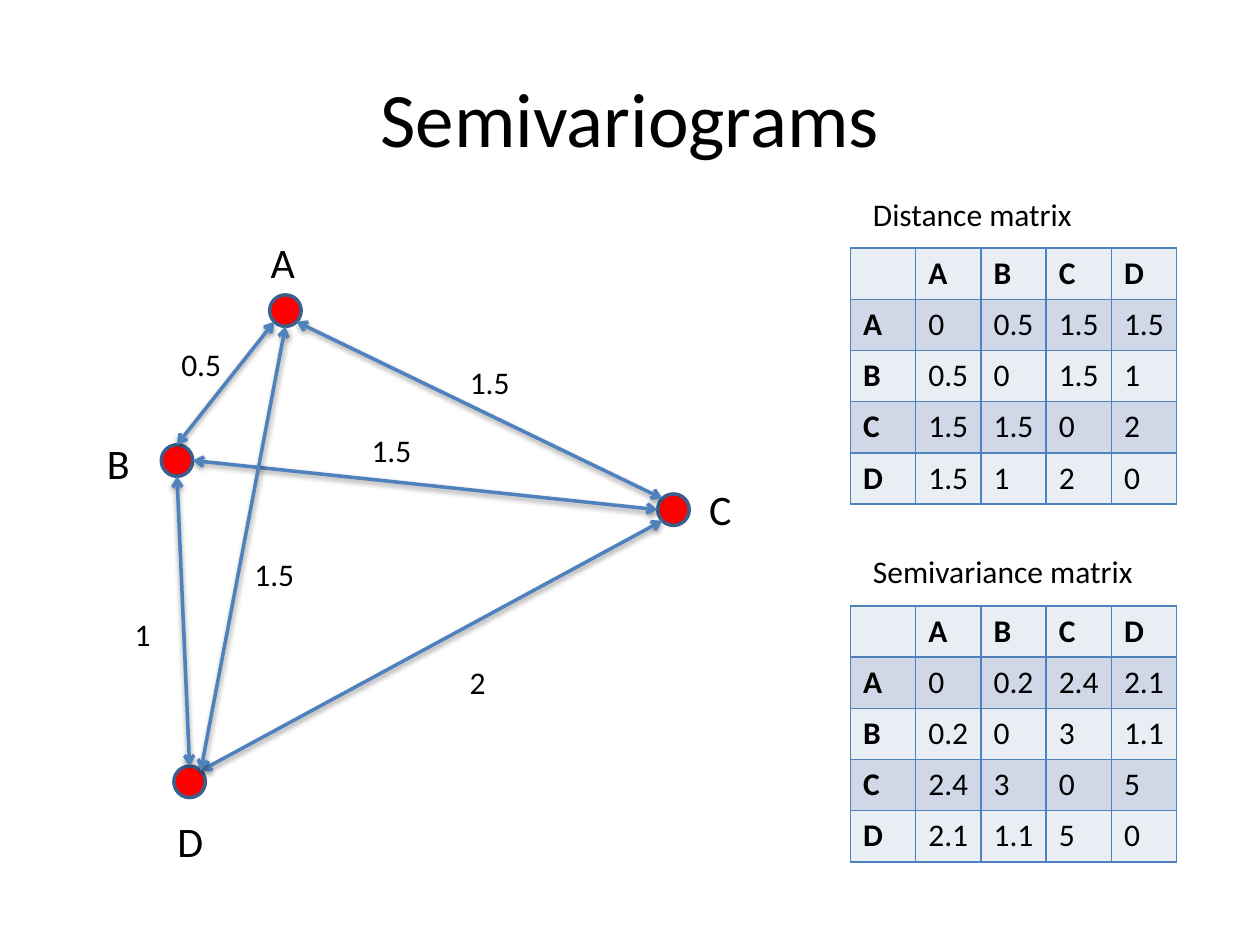
"""Build a slide that shows four points, their distances and their semivariances."""
from dataclasses import dataclass
from math import cos, radians, sin

from lxml.etree import SubElement
from pptx import Presentation
from pptx.dml.color import RGBColor
from pptx.enum.shapes import MSO_CONNECTOR as Connector, MSO_SHAPE as Preset
from pptx.enum.text import MSO_ANCHOR as Anchor, MSO_AUTO_SIZE as AutoSize, PP_ALIGN as Align
from pptx.oxml import parse_xml
from pptx.oxml.ns import nsdecls, qn
from pptx.shapes.autoshape import Shape
from pptx.slide import Slide
from pptx.util import Inches, Pt

BLACK = RGBColor(0x00, 0x00, 0x00)
RED = RGBColor(0xFF, 0x00, 0x00)
BLUE = RGBColor(0x4F, 0x81, 0xBD)
DARK_BLUE = RGBColor(0x3A, 0x5F, 0x8C)
LIGHT_BAND = RGBColor(0xE9, 0xED, 0xF4)
DARK_BAND = RGBColor(0xD0, 0xD8, 0xE8)

FONT = "Calibri"
DIAMETER = 0.25
NAMES = "ABCD"
TOP, TOP_LEFT, LEFT, BOTTOM_LEFT, BOTTOM, BOTTOM_RIGHT, RIGHT, TOP_RIGHT = range(8)


@dataclass(frozen=True)
class Label:
    text: str
    left: float
    top: float
    width: float
    height: float = 0.4
    size: int = 18


@dataclass(frozen=True)
class Point:
    left: float
    top: float
    label: Label

    def site(self, index: int) -> tuple[float, float]:
        radius = DIAMETER / 2
        angle = radians(90 + 45 * index)
        return (self.left + radius + radius * cos(angle),
                self.top + radius - radius * sin(angle))


@dataclass(frozen=True)
class Edge:
    begin: str
    begin_site: int
    end: str
    end_site: int
    label_left: float
    label_top: float


@dataclass(frozen=True)
class Matrix:
    title: Label
    top: float
    values: tuple[tuple[float, ...], ...]


POINTS = {
    "A": Point(2.14, 2.34, Label("A", 2.05, 1.83, 0.4, 0.5, 24)),
    "C": Point(5.22, 3.92, Label("C", 5.53, 3.79, 0.38, 0.5, 24)),
    "B": Point(1.28, 3.53, Label("B", 0.75, 3.42, 0.38, 0.5, 24)),
    "D": Point(1.38, 6.08, Label("D", 1.31, 6.42, 0.41, 0.5, 24)),
}
EDGES = (
    Edge("A", BOTTOM_LEFT, "B", TOP, 1.34, 2.69),
    Edge("C", LEFT, "B", RIGHT, 2.85, 3.37),
    Edge("A", BOTTOM_RIGHT, "C", TOP_LEFT, 3.63, 2.83),
    Edge("B", BOTTOM, "D", TOP, 0.97, 4.83),
    Edge("C", BOTTOM_LEFT, "D", TOP_RIGHT, 3.63, 5.21),
    Edge("A", BOTTOM, "D", TOP_RIGHT, 1.92, 4.36),
)
DISTANCES = Matrix(
    Label("Distance matrix", 6.83, 1.5, 1.8), 1.97,
    ((0, 0.5, 1.5, 1.5), (0.5, 0, 1.5, 1), (1.5, 1.5, 0, 2), (1.5, 1, 2, 0)),
)
SEMIVARIANCES = Matrix(
    Label("Semivariance matrix", 6.83, 4.33, 2.28), 4.81,
    ((0, 0.2, 2.4, 2.1), (0.2, 0, 3, 1.1), (2.4, 3, 0, 5), (2.1, 1.1, 5, 0)),
)


def write(frame, text: str, size: int, bold: bool = False) -> None:
    run = frame.paragraphs[0].add_run()
    run.text = text
    for name, value in {"name": FONT, "size": Pt(size), "bold": bold}.items():
        setattr(run.font, name, value)
    run.font.color.rgb = BLACK


def draw_label(slide: Slide, label: Label) -> None:
    box = slide.shapes.add_textbox(
        *map(Inches, (label.left, label.top, label.width, label.height)))
    formats = {"word_wrap": False, "auto_size": AutoSize.SHAPE_TO_FIT_TEXT}
    for name, value in formats.items():
        setattr(box.text_frame, name, value)
    write(box.text_frame, label.text, label.size)


def draw_point(slide: Slide, point: Point) -> Shape:
    circle = slide.shapes.add_shape(
        Preset.OVAL, *map(Inches, (point.left, point.top, DIAMETER, DIAMETER)))
    circle.shadow.inherit = False
    circle.fill.solid()
    circle.fill.fore_color.rgb = RED
    circle.line.color.rgb = DARK_BLUE
    circle.line.width = Pt(2)
    return circle


def draw_edge(slide: Slide, edge: Edge, circles: dict[str, Shape]) -> None:
    begin = POINTS[edge.begin].site(edge.begin_site)
    end = POINTS[edge.end].site(edge.end_site)
    connector = slide.shapes.add_connector(Connector.STRAIGHT, *map(Inches, begin + end))
    joints = connector._element.find(f"{qn('p:nvCxnSpPr')}/{qn('p:cNvCxnSpPr')}")
    for tag, name, site in (("a:stCxn", edge.begin, edge.begin_site),
                            ("a:endCxn", edge.end, edge.end_site)):
        SubElement(joints, qn(tag), id=str(circles[name].shape_id), idx=str(site))
    connector.line.color.rgb = BLUE
    connector.line.width = Pt(2)
    properties = connector._element.spPr
    for tag in ("a:headEnd", "a:tailEnd"):
        SubElement(properties.find(qn("a:ln")), qn(tag), type="arrow")
    properties.append(parse_xml(
        f'<a:effectLst {nsdecls("a")}><a:outerShdw blurRad="{Pt(3.1)}" dist="{Pt(1.6)}" '
        'dir="5400000" rotWithShape="0"><a:srgbClr val="000000"><a:alpha val="38000"/>'
        '</a:srgbClr></a:outerShdw></a:effectLst>'))


def draw_borders(cell) -> None:
    properties = cell._tc.get_or_add_tcPr()
    for position, side in enumerate(("lnL", "lnR", "lnT", "lnB")):
        properties.insert(position, parse_xml(
            f'<a:{side} {nsdecls("a")} w="{Pt(1)}"><a:solidFill>'
            f'<a:srgbClr val="{BLUE}"/></a:solidFill></a:{side}>'))


def draw_matrix(slide: Slide, matrix: Matrix) -> None:
    rows = [("", *NAMES), *((name, *line) for name, line in zip(NAMES, matrix.values))]
    table = slide.shapes.add_table(
        len(rows), len(rows), *map(Inches, (6.75, matrix.top, 2.59, 2.03))).table
    for name in ("first_row", "horz_banding"):
        setattr(table, name, False)
    for row, values in enumerate(rows):
        for column, value in enumerate(values):
            cell = table.cell(row, column)
            cell.fill.solid()
            cell.fill.fore_color.rgb = DARK_BAND if row % 2 else LIGHT_BAND
            draw_borders(cell)
            if value != "":
                write(cell.text_frame, str(value), 18, bold=row == 0 or column == 0)


def main() -> None:
    presentation = Presentation()
    presentation.slide_width, presentation.slide_height = Inches(10), Inches(7.5)
    slide = presentation.slides.add_slide(presentation.slide_layouts[5])

    title = slide.shapes.title
    bounds = {"left": 0.5, "top": 0.3, "width": 9, "height": 1.25}
    for name, value in bounds.items():
        setattr(title, name, Inches(value))
    title.text_frame.vertical_anchor = Anchor.MIDDLE
    title.text_frame.paragraphs[0].alignment = Align.CENTER
    write(title.text_frame, "Semivariograms", 44)

    circles = {name: draw_point(slide, point) for name, point in POINTS.items()}
    for edge in EDGES:
        draw_edge(slide, edge, circles)
    for edge in EDGES:
        distance = str(DISTANCES.values[NAMES.index(edge.begin)][NAMES.index(edge.end)])
        width = 0.52 if "." in distance else 0.33
        draw_label(slide, Label(distance, edge.label_left, edge.label_top, width))
    for name in NAMES:
        draw_label(slide, POINTS[name].label)
    for matrix in (DISTANCES, SEMIVARIANCES):
        draw_matrix(slide, matrix)
        draw_label(slide, matrix.title)

    presentation.save("out.pptx")


if __name__ == "__main__":
    main()
